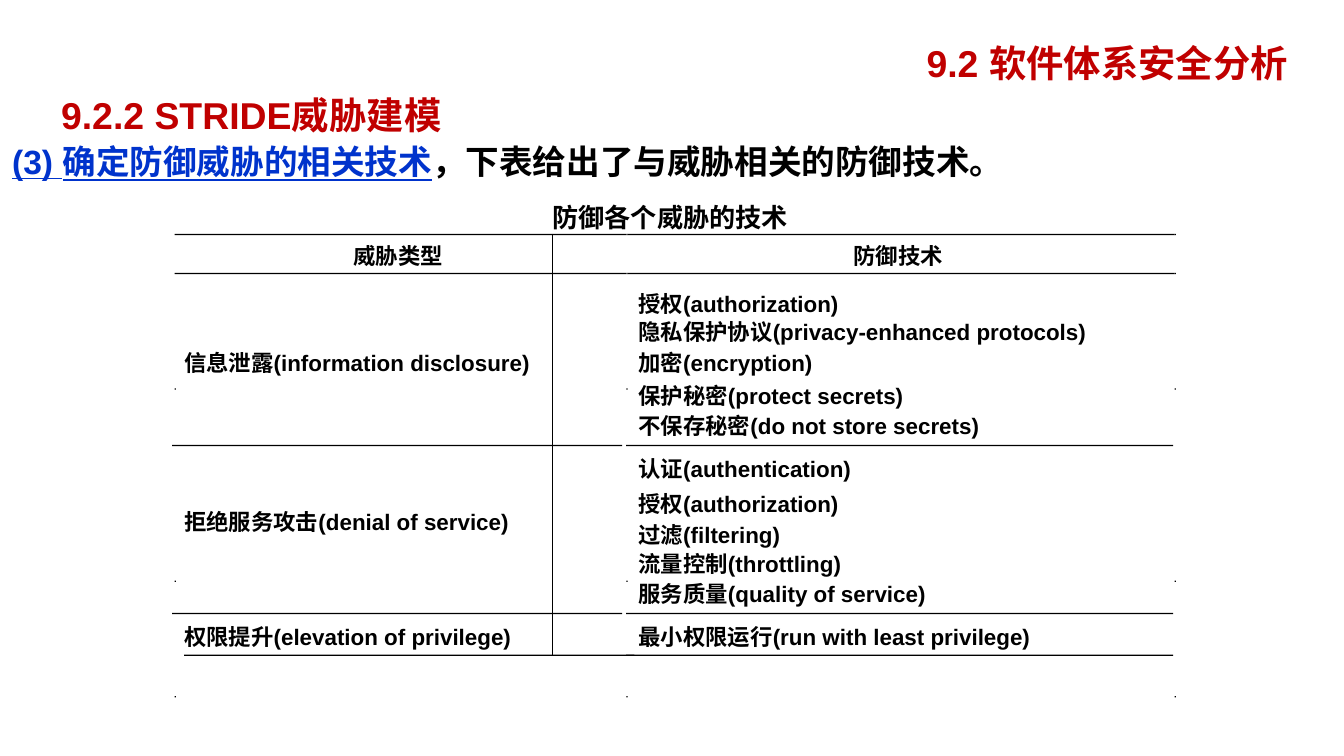
from pptx import Presentation
from pptx.dml.color import RGBColor
from pptx.enum.shapes import MSO_CONNECTOR, MSO_SHAPE
from pptx.enum.text import MSO_ANCHOR, MSO_AUTO_SIZE, PP_ALIGN
from pptx.util import Pt
from lxml import etree

PX = 9144
DRAW = "{http://schemas.openxmlformats.org/drawingml/2006/main}"
RECT = MSO_SHAPE.RECTANGLE
LINE = MSO_CONNECTOR.STRAIGHT
MID, TOP = MSO_ANCHOR.MIDDLE, MSO_ANCHOR.TOP
GROW, FIXED = MSO_AUTO_SIZE.SHAPE_TO_FIT_TEXT, MSO_AUTO_SIZE.NONE
LEFT, CENTER = PP_ALIGN.LEFT, PP_ALIGN.CENTER
BLACK, RED, BLUE = "000000", "C00000", "0033CC"


def color(text):
    return RGBColor.from_string(text)


def write(para, text, size, ink, under=False):
    run = para.add_run()
    run.text = text
    font = run.font
    font.name, font.size, font.bold = "Arial", Pt(size), True
    font.underline = under
    font.color.rgb = color(ink)


deck = Presentation()
deck.slide_width = 1000 * PX
deck.slide_height = deck.slide_width * 9 // 16
slide = deck.slides.add_slide(deck.slide_layouts[1])
shapes = slide.shapes

body = slide.placeholders[1]
body.left, body.top, body.width, body.height = -PX, 61 * PX, 1000 * PX, 480 * PX
frame = body.text_frame
frame.auto_size, frame.vertical_anchor = FIXED, TOP
frame.margin_top = 44 * PX
para = frame.paragraphs[0]
para.space_before = Pt(0)
props = para._p.get_or_add_pPr()
props.set("marL", str(38 * PX))
props.set("indent", str(-38 * PX))
etree.SubElement(props, DRAW + "buNone")
write(para, "(3) 确定防御威胁的相关技术", 18, BLUE, True)
write(para, "，下表给出了与威胁相关的防御技术。", 18, BLACK)

title = shapes.title
title.left, title.top, title.width, title.height = 672 * PX, 16 * PX, 304 * PX, 61 * PX
part = shapes.add_textbox(23 * PX, 55 * PX, 328 * PX, 61 * PX)
for box, text in ((title, "9.2 软件体系安全分析"), (part, "9.2.2 STRIDE威胁建模")):
    frame = box.text_frame
    frame.word_wrap, frame.auto_size, frame.vertical_anchor = True, FIXED, MID
    frame.paragraphs[0].alignment = CENTER
    write(frame.paragraphs[0], text, 20, RED)

labels = [
    (411, 150, 177, 14, "防御各个威胁的技术"),
    (263, 180, 67, 12, "威胁类型"),
    (635, 180, 67, 12, "防御技术"),
]
threats = [
    (260, "信息泄露(information disclosure)"),
    (378, "拒绝服务攻击(denial of service)"),
    (464, "权限提升(elevation of privilege)"),
]
defences = [
    (216, "授权(authorization)"),
    (237, "隐私保护协议(privacy-enhanced protocols)"),
    (260, "加密(encryption)"),
    (284, "保护秘密(protect secrets)"),
    (307, "不保存秘密(do not store secrets)"),
    (339, "认证(authentication)"),
    (365, "授权(authorization)"),
    (388, "过滤(filtering)"),
    (409, "流量控制(throttling)"),
    (432, "服务质量(quality of service)"),
    (464, "最小权限运行(run with least privilege)"),
]
labels += [(137, y, 270, 12, text) for y, text in threats]
labels += [(475, y, 365, 12, text) for y, text in defences]
for x, y, wide, size, text in labels:
    box = shapes.add_textbox(x * PX, y * PX, wide * PX, (size + 8) * PX)
    frame = box.text_frame
    frame.margin_left = frame.margin_top = frame.margin_right = frame.margin_bottom = 0
    frame.word_wrap, frame.auto_size = x in (137, 475), GROW
    frame.paragraphs[0].alignment = LEFT
    write(frame.paragraphs[0], text, size, BLACK)

bars = [(x, y, 1) for y in (174, 203, 289, 432, 518) for x in (130, 466, 874)]
for y, left, right in ((174, 131, 467), (203, 131, 467), (331, 128, 466),
                       (456, 128, 466), (487, 137, 466)):
    bars += [(left, y, 335), (right, y, 407)]
for x, y, wide in bars:
    bar = shapes.add_shape(RECT, x * PX, y * PX, wide * PX, PX)
    bar.shadow.inherit = False
    bar.fill.solid()
    bar.fill.fore_color.rgb = color(BLACK)
    bar.line.fill.background()

split = shapes.add_connector(LINE, 411 * PX, 174 * PX, 411 * PX, 488 * PX)
split.line.color.rgb = color(BLACK)
split.line.width = Pt(0.9)
etree.SubElement(split._element.spPr, DRAW + "effectLst")

deck.save("out.pptx")
